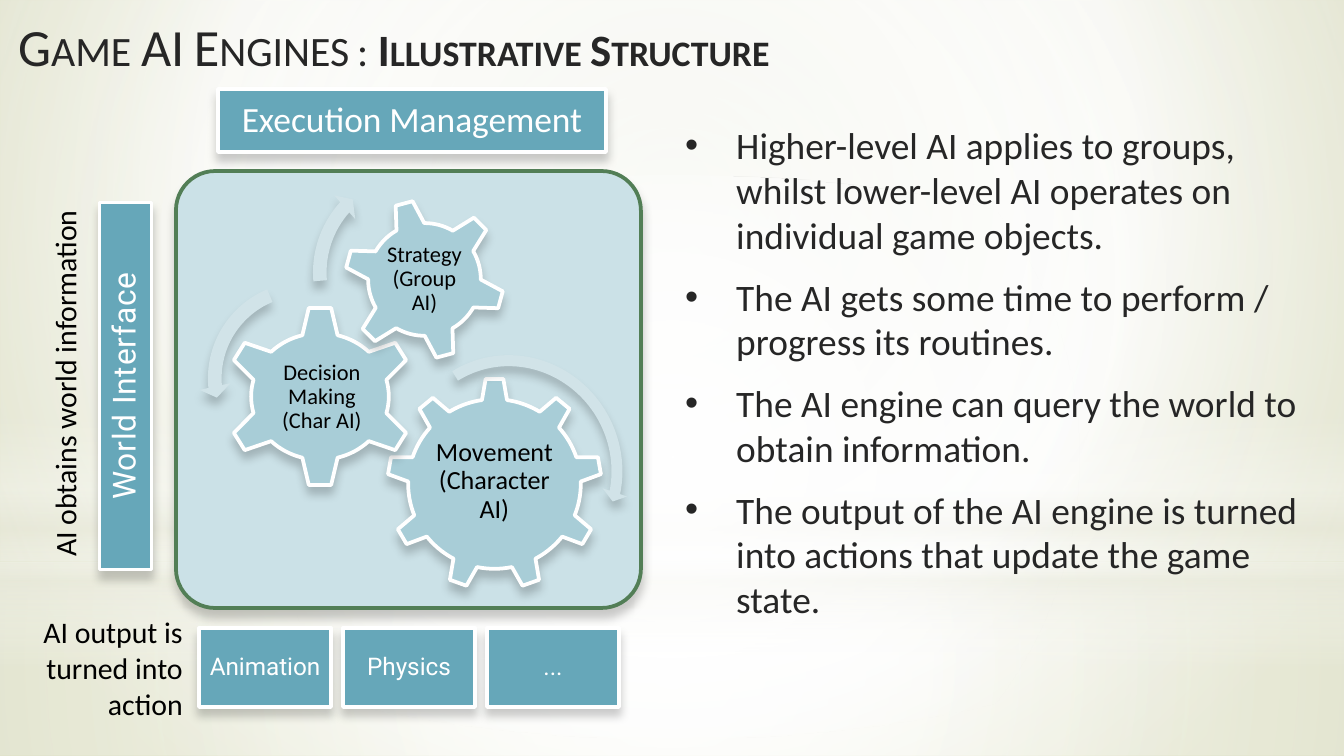
from pptx import Presentation
from pptx.dml.color import RGBColor
from pptx.enum.shapes import MSO_SHAPE
from pptx.enum.text import MSO_ANCHOR, PP_ALIGN
from pptx.oxml import parse_xml
from pptx.oxml.ns import nsdecls, qn
from pptx.util import Pt

COLORS = {
    "white": "FFFFFF", "black": "000000", "ink": "262626", "haze": "EAEBDE",
    "sand": "E3E5D1", "olive": "CCD09F", "teal": "66A7B9", "panel": "CBE1E7",
    "border": "527E56", "gear": "A8CDD7", "arrow": "D1E3E8",
}

# Gradient stops: (position %, colour, opacity %)
BACKGROUND = [(0, "sand", 100), (60, "white", 100), (100, "olive", 100)]
CENTRE = (50, 50, 50, 50)
BACKDROPS = [  # shape, box, stops, focus (None for a vertical gradient)
    (MSO_SHAPE.RECTANGLE, (0, 563, 1344, 193),
     [(0, "white", 91), (37, "white", 76), (100, "haze", 79)], CENTRE),
    (MSO_SHAPE.RECTANGLE, (0, 0, 1344, 563),
     [(0, "white", 89), (48, "white", 62), (100, "haze", 79)], CENTRE),
    (MSO_SHAPE.RECTANGLE, (0, 415, 1344, 253),
     [(0, "white", 0), (29, "white", 30), (45, "haze", 40),
      (55, "white", 26), (65, "haze", 60), (100, "white", 0)], None),
    (MSO_SHAPE.OVAL, (0, 176, 1344, 563),
     [(0, "white", 100), (56, "white", 0)], CENTRE),
]

TITLE = "Game AI Engines"
SUBTITLE = [(": ", {}), ("Illustrative Structure", {"size": 24, "bold": True})]
BULLETS = [
    "Higher-level AI applies to groups, whilst lower-level AI operates on individual game objects.",
    "The AI gets some time to perform / progress its routines.",
    "The AI engine can query the world to obtain information.",
    "The output of the AI engine is turned into actions that update the game state.",
]
MODULES = ["Animation", "Physics", "..."]
MODULE_BOX, MODULE_STEP = (199, 628, 132, 79), 144

GEARS = [  # shape, box, rotation, label, label box, text size
    (MSO_SHAPE.GEAR_9, (387, 378, 215, 212), 0,
     "Movement (Character AI)", (430, 427, 129, 109), 14),
    (MSO_SHAPE.GEAR_6, (224, 306, 192, 181), 0,
     "Decision Making (Char AI)", (273, 352, 98, 90), 12),
    (MSO_SHAPE.GEAR_6, (344, 199, 161, 161), 345,
     "Strategy (Group AI)", (379, 234, 91, 91), 12),
]
ARROWS = [  # shape, box, rotation, thickness %, three angles in degrees, head %
    (MSO_SHAPE.CIRCULAR_ARROW, (395, 347, 234, 242), 332.2,
     4.7, (5, 41.2, 266.1), 5.5),
    (MSO_SHAPE.LEFT_CIRCULAR_ARROW, (199, 273, 211, 211), 0,
     6.5, (7.2, 174.8, 247.3), 7.5),
    (MSO_SHAPE.CIRCULAR_ARROW, (304, 159, 227, 227), 0,
     6, (6.6, 221.9, 175.1), 7),
]


def px(value):
    return round(value * 914400 / 134.4)


def rgb(name):
    return RGBColor.from_string(COLORS[name])


def set_gradient(fill, properties, stops, focus):
    """Fill with stops, radial around focus (left, top, right, bottom) or vertical."""
    fill.solid()
    stop_xml = "".join(
        f'<a:gs pos="{position * 1000}"><a:srgbClr val="{COLORS[color]}">'
        f'<a:alpha val="{opacity * 1000}"/></a:srgbClr></a:gs>'
        for position, color, opacity in stops)
    if focus:
        left, top, right, bottom = (side * 1000 for side in focus)
        direction = (f'<a:path path="circle"><a:fillToRect l="{left}" t="{top}" '
                     f'r="{right}" b="{bottom}"/></a:path>')
    else:
        direction = '<a:lin ang="5400000" scaled="0"/>'
    gradient = parse_xml(f'<a:gradFill {nsdecls("a")} rotWithShape="1">'
                         f'<a:gsLst>{stop_xml}</a:gsLst>{direction}</a:gradFill>')
    properties.replace(properties.find(qn("a:solidFill")), gradient)


def add_shape(kind, box, fill=None, line=None, rotation=0, shadow=True):
    shape = slide.shapes.add_shape(kind, *map(px, box))
    shape.rotation = rotation
    shape.shadow.inherit = False
    if fill:
        shape.fill.solid()
        shape.fill.fore_color.rgb = rgb(fill)
    if line:
        shape.line.color.rgb = rgb(line)
        shape.line.width = Pt(2)
    else:
        shape.line.fill.background()
    if shadow:
        effects = shape._element.spPr.find(qn("a:effectLst"))
        effects.append(parse_xml(
            f'<a:outerShdw {nsdecls("a")} blurRad="{Pt(5)}" dist="{Pt(4)}" dir="5400000" '
            'rotWithShape="0"><a:srgbClr val="000000"><a:alpha val="20000"/>'
            '</a:srgbClr></a:outerShdw>'))
    return shape


def add_text_box(box, rotation=0):
    text_box = slide.shapes.add_textbox(*map(px, box))
    text_box.rotation = rotation
    return text_box


def write_text(shape, paragraphs, size, color="black", font="Calibri", align=PP_ALIGN.LEFT,
               anchor=MSO_ANCHOR.TOP, inset=None, wrap=True, line_spacing=None,
               space_after=0, bullet=False, small_caps=False, tracking=None):
    """Each paragraph is a string or a list of (text, {size, bold}) runs."""
    frame = shape.text_frame
    frame.word_wrap = wrap
    frame.vertical_anchor = anchor
    if inset is not None:
        frame.margin_left = frame.margin_right = px(inset)
        frame.margin_top = frame.margin_bottom = px(inset)
    for index, content in enumerate(paragraphs):
        paragraph = frame.add_paragraph() if index else frame.paragraphs[0]
        paragraph.alignment = align
        paragraph.space_after = Pt(space_after)
        if line_spacing:
            paragraph.line_spacing = line_spacing
        if bullet:
            properties = paragraph._p.get_or_add_pPr()
            properties.set("marL", str(px(51)))
            properties.set("indent", str(px(-51)))
            properties.append(parse_xml(f'<a:buFont {nsdecls("a")} typeface="Arial"/>'))
            properties.append(parse_xml(f'<a:buChar {nsdecls("a")} char="•"/>'))
        runs = [(content, {})] if isinstance(content, str) else content
        for text, style in runs:
            run = paragraph.add_run()
            run.text = text
            run.font.name = font
            run.font.size = Pt(style.get("size", size))
            run.font.bold = style.get("bold", False)
            run.font.color.rgb = rgb(color)
            if small_caps:
                run._r.get_or_add_rPr().set("cap", "small")
            if tracking:
                run._r.get_or_add_rPr().set("spc", str(round(tracking * 100)))


def add_block(box, label, size, inset, font="Roboto", rotation=0, tracking=None):
    block = add_shape(MSO_SHAPE.RECTANGLE, box, "teal", "white", rotation)
    write_text(block, [label], size, color="white", font=font, inset=inset,
               tracking=tracking, **CENTRED)


CENTRED = {"align": PP_ALIGN.CENTER, "anchor": MSO_ANCHOR.MIDDLE, "line_spacing": 0.9}

presentation = Presentation()
presentation.slide_width, presentation.slide_height = px(1344), px(756)
slide = presentation.slides.add_slide(presentation.slide_layouts[6])

background_fill = slide.background.fill
set_gradient(background_fill, slide._element.cSld.find(qn("p:bg")).find(qn("p:bgPr")),
             BACKGROUND, (20, 10, 20, 60))
for kind, box, stops, focus in BACKDROPS:
    backdrop = add_shape(kind, box, shadow=False)
    set_gradient(backdrop.fill, backdrop._element.spPr, stops, focus)

for box, heading in (((5, 8, 879, 85), TITLE), ((344, 8, 719, 85), SUBTITLE)):
    write_text(add_text_box(box), [heading], 28, color="ink", small_caps=True)

add_block((218, 89, 388, 63), "Execution Management", 19, 11, font="Calibri")
add_block((-58, 360, 367, 52), "World Interface", 17, 9, rotation=270, tracking=0.4)
write_text(add_text_box((-15, 607, 211, 122)), ["AI output is turned into action"], 16,
           align=PP_ALIGN.RIGHT)
write_text(add_text_box((-124, 356, 378, 50), 270), ["AI obtains world information"], 16,
           wrap=False)

panel = add_shape(MSO_SHAPE.ROUNDED_RECTANGLE, (176, 171, 465, 437), "panel", "border")
panel.adjustments[0] = 0.09
for kind, box, rotation, label, label_box, size in GEARS:
    add_shape(kind, box, "gear", "white", rotation)
    write_text(add_text_box(label_box), [label], size, inset=3, **CENTRED)
for kind, box, rotation, thickness, angles, head in ARROWS:
    arrow = add_shape(kind, box, "arrow", rotation=rotation)
    # Angles are stored in 1/60000 degree, adjustments in 1/100000
    values = [thickness / 100, *(angle * 0.6 for angle in angles), head / 100]
    for index, value in enumerate(values):
        arrow.adjustments[index] = value

left, top, width, height = MODULE_BOX
for index, module in enumerate(MODULES):
    add_block((left + index * MODULE_STEP, top, width, height), module, 13, 7)

write_text(add_text_box((672, 116, 646, 641)), BULLETS, 20, color="ink",
           space_after=9, bullet=True)

presentation.save("out.pptx")
